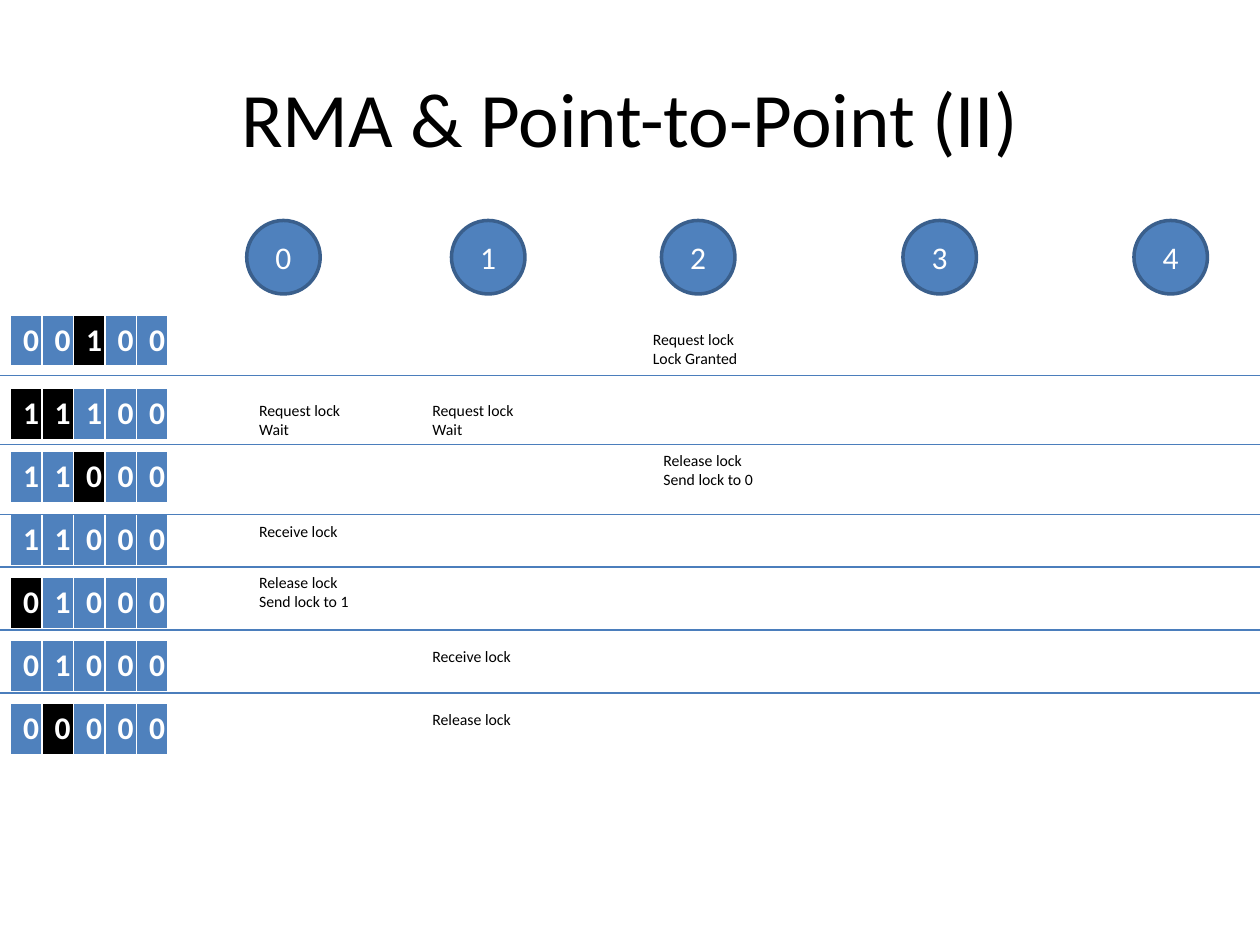
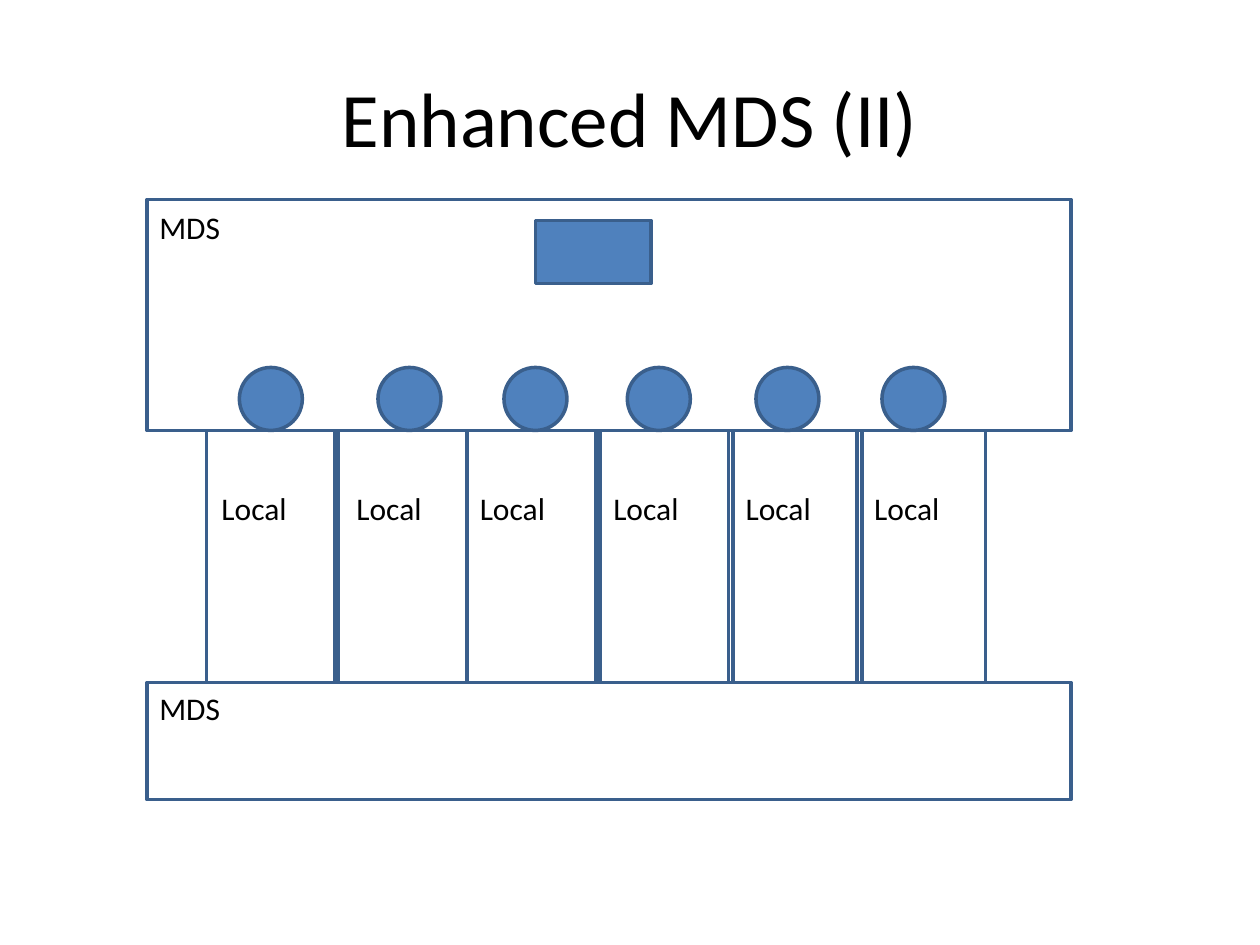
import pptx
import pptx.dml.color
import pptx.enum.shapes
import pptx.enum.text
import pptx.util
from dataclasses import dataclass
from lxml import etree

Pt = pptx.util.Pt
Kind = pptx.enum.shapes.MSO_SHAPE
Align = pptx.enum.text.PP_ALIGN


@dataclass(frozen=True)
class Theme:
    font: str = "Calibri"
    blue: str = "4F81BD"
    edge: str = "3A5F8C"
    rule: str = "4B7EBC"
    black: str = "000000"
    white: str = "FFFFFF"
    head: int = 44
    body: int = 18
    note: int = 9
    stroke: float = 2
    thin: float = 0.75


theme = Theme()
WIDE, HIGH = 720, 540

RANKS = [("0", 141), ("1", 258), ("2", 378), ("3", 516), ("4", 648)]
STEPS = [
    ("00100", {2}, 180),
    ("11100", {0, 1}, 222),
    ("11000", {2}, 258),
    ("11000", set(), 294),
    ("01000", {0}, 330),
    ("01000", set(), 366),
    ("00000", {1}, 402),
]
RULES = [214.5, 254, 294, 324, 360, 396]
NOTES = [
    (366, 185, ["Request lock", "Lock Granted"]),
    (141, 225.4, ["Request lock", "Wait"]),
    (240, 225.4, ["Request lock", "Wait"]),
    (372, 254, ["Release lock", "Send lock to 0"]),
    (141, 294.5, ["Receive lock"]),
    (141, 324, ["Release lock", "Send lock to 1"]),
    (240, 366, ["Receive lock"]),
    (240, 402, ["Release lock"]),
]

BANDS = [("MDS", 114, 132, 115.2), ("MDS", 390, 67, 390.2)]
NODES = [136.8, 216, 288, 358.5, 432, 504]
LANES = [
    ("Local", 118.1, 119.5),
    ("Local", 193, 196.6),
    ("Local", 267.1, 267.1),
    ("Local", 342.7, 343.4),
    ("Local", 419, 419),
    ("Local", 489.6, 492.5),
]


def color(name):
    return pptx.dml.color.RGBColor.from_string(name)


def style(par, size, tint, align=Align.LEFT, bold=False):
    par.alignment = align
    par.font.name = theme.font
    par.font.size = Pt(size)
    par.font.bold = bold
    par.font.color.rgb = color(tint)


def paint(fill, tint):
    fill.solid()
    fill.fore_color.rgb = color(tint)


def start(deck, words):
    slide = deck.slides.add_slide(deck.slide_layouts[5])
    title = slide.shapes.title
    title.left, title.top, title.width, title.height = map(Pt, (36, 21.6, 648, 90))
    title.text_frame.text = words
    title.text_frame.vertical_anchor = pptx.enum.text.MSO_ANCHOR.MIDDLE
    style(title.text_frame.paragraphs[0], theme.head, theme.black, Align.CENTER)
    return slide


def shape(slide, kind, box, fill=None, words=""):
    item = slide.shapes.add_shape(kind, *map(Pt, box))
    item.shadow.inherit = False
    item.line.color.rgb = color(theme.edge)
    item.line.width = Pt(theme.stroke)
    if fill:
        paint(item.fill, fill)
    else:
        item.fill.background()
    if words:
        item.text_frame.text = words
        style(item.text_frame.paragraphs[0], theme.body, theme.white, Align.CENTER)


def label(slide, box, lines, size):
    frame = slide.shapes.add_textbox(*map(Pt, box)).text_frame
    frame.word_wrap = True
    frame.auto_size = pptx.enum.text.MSO_AUTO_SIZE.SHAPE_TO_FIT_TEXT
    frame.text = "\n".join(lines)
    for par in frame.paragraphs:
        style(par, size, theme.black)


def divide(slide, top):
    line = slide.shapes.add_connector(
        pptx.enum.shapes.MSO_CONNECTOR.STRAIGHT, 0, Pt(top), Pt(WIDE), Pt(top))
    line.line.color.rgb = color(theme.rule)
    line.line.width = Pt(theme.thin)
    etree.SubElement(line._element.spPr, pptx.oxml.ns.qn("a:effectLst"))


def array(slide, bits, changed, top):
    cell_w = 18
    count = len(bits)
    grid = slide.shapes.add_table(
        1, count, Pt(6), Pt(top), Pt(cell_w * count), Pt(23)).table
    for spot, bit in enumerate(bits):
        grid.columns[spot].width = Pt(cell_w)
        cell = grid.cell(0, spot)
        cell.text = bit
        paint(cell.fill, theme.black if spot in changed else theme.blue)
        style(cell.text_frame.paragraphs[0], theme.body, theme.white, bold=True)


def locks(deck):
    slide = start(deck, "RMA & Point-to-Point (II)")
    for name, left in RANKS:
        shape(slide, Kind.OVAL, (left, 126, 42, 42), theme.blue, name)
    for step in STEPS:
        array(slide, *step)
    for top in RULES:
        divide(slide, top)
    for left, top, lines in NOTES:
        label(slide, (left, top, 66, 7.2 + 10.8 * len(lines)), lines, theme.note)


def layers(deck):
    slide = start(deck, "Enhanced MDS (II)")
    shape(slide, Kind.RECTANGLE, (306, 126, 66, 36), theme.blue)
    for left in NODES:
        shape(slide, Kind.OVAL, (left, 210, 36, 36), theme.blue)
    for name, top, height, text_y in BANDS:
        shape(slide, Kind.RECTANGLE, (84, top, 528, height))
        label(slide, (84, text_y, 77, 30), [name], theme.body)
    for name, left, text_x in LANES:
        shape(slide, Kind.RECTANGLE, (left, 246, 73.5, 144))
        label(slide, (text_x, 276, 66, 30), [name], theme.body)


deck = pptx.Presentation()
deck.slide_width, deck.slide_height = Pt(WIDE), Pt(HIGH)
locks(deck)
layers(deck)
deck.save("out.pptx")
